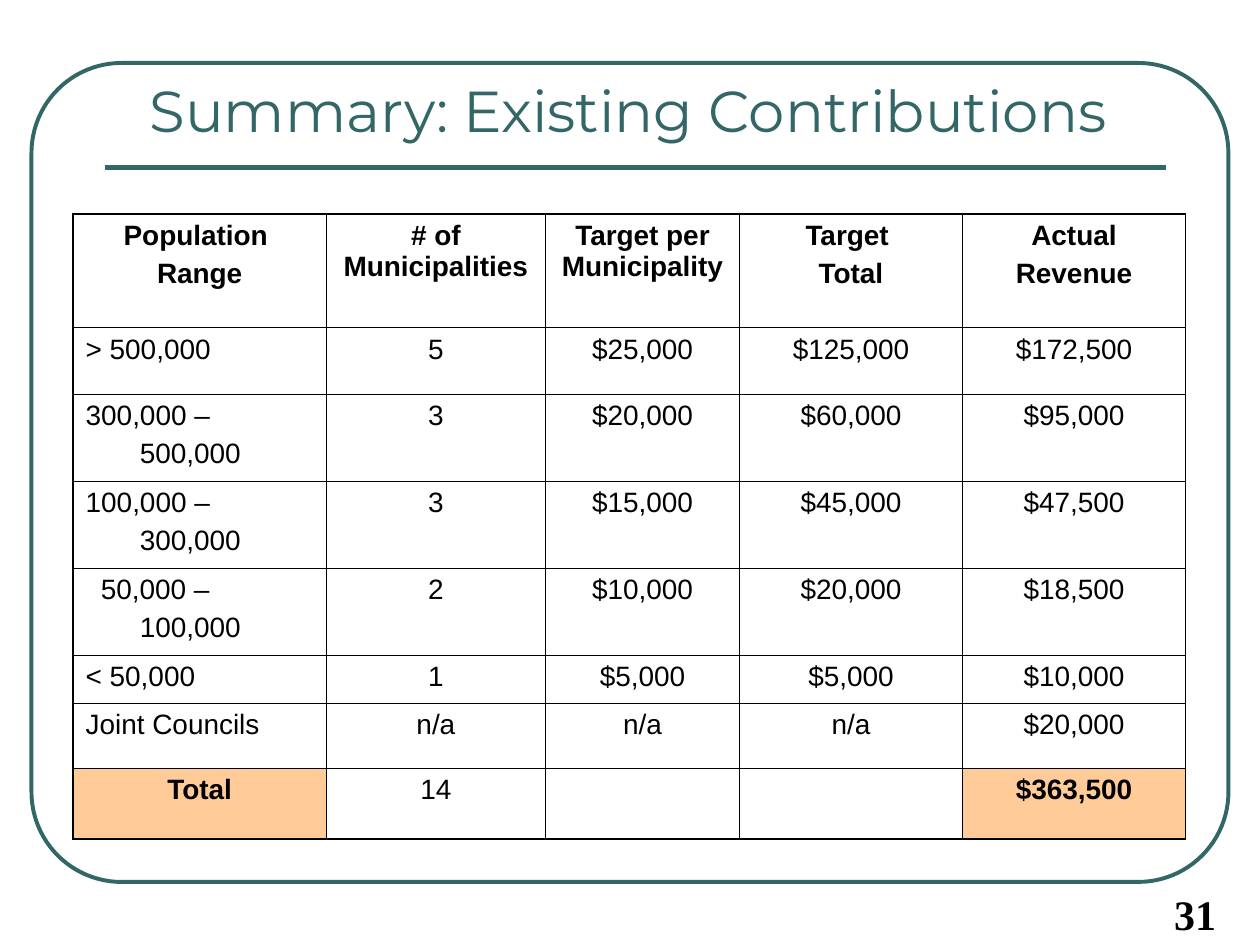
"""Build the slide that sums up existing contributions by population range."""
from pptx import Presentation
from pptx.dml.color import RGBColor
from pptx.enum.shapes import MSO_CONNECTOR, MSO_SHAPE
from pptx.enum.text import MSO_ANCHOR, MSO_AUTO_SIZE, PP_ALIGN
from pptx.util import Inches, Pt
from lxml import etree

ROUND = MSO_SHAPE.ROUNDED_RECTANGLE
STRAIGHT = MSO_CONNECTOR.STRAIGHT
MIDDLE = MSO_ANCHOR.MIDDLE
FIXED = MSO_AUTO_SIZE.NONE
LEFT, CENTER, RIGHT = PP_ALIGN.LEFT, PP_ALIGN.CENTER, PP_ALIGN.RIGHT
NS = "http://schemas.openxmlformats.org/drawingml/2006/main"
COLORS = {"teal": "336666", "black": "000000", "peach": "FFCC99"}
THIN, THICK = 0.45, 1.08

WIDTHS = [2.01, 1.74, 1.54, 1.77, 1.77]
HEIGHTS = [0.9, 0.53, 0.69, 0.69, 0.69, 0.38, 0.52, 0.56]
ROWS = [
    ["Population \nRange", "# of Municipalities", "Target per Municipality",
     "Target \nTotal", "Actual\nRevenue"],
    ["> 500,000", "5", "$25,000", "$125,000", "$172,500"],
    ["300,000 –\n500,000", "3", "$20,000", "$60,000", "$95,000"],
    ["100,000 –\n300,000", "3", "$15,000", "$45,000", "$47,500"],
    ["50,000 –\n100,000", "2", "$10,000", "$20,000", "$18,500"],
    ["< 50,000", "1", "$5,000", "$5,000", "$10,000"],
    ["Joint Councils", "n/a", "n/a", "n/a", "$20,000"],
    ["Total", "14", "", "", "$363,500"],
]
INDENTS = {"50,000 –": 0.12, "500,000": 0.43, "300,000": 0.43, "100,000": 0.43}


def style(para, face, size, color, align, bold=False):
    para.alignment = align
    para.font.name = face
    para.font.size = Pt(size)
    para.font.bold = bold
    para.font.color.rgb = RGBColor.from_string(COLORS[color])


def border(cell, side, width):
    props = cell._tc.get_or_add_tcPr()
    line = etree.SubElement(props, f"{{{NS}}}{side}", w=str(Pt(width)))
    fill = etree.SubElement(line, f"{{{NS}}}solidFill")
    etree.SubElement(fill, f"{{{NS}}}srgbClr", val=COLORS["black"])


prs = Presentation()
prs.slide_width, prs.slide_height = Inches(10), Inches(7.5)
slide = prs.slides.add_slide(prs.slide_layouts[5])
shapes = slide.shapes
teal = RGBColor.from_string(COLORS["teal"])

frame = shapes.add_shape(ROUND, Inches(0.25), Inches(0.5), Inches(9.5), Inches(6.5))
frame.adjustments[0] = 0.11
frame.shadow.inherit = False
frame.fill.background()
frame.line.color.rgb = teal
frame.line.width = Pt(2.25)

rule = shapes.add_connector(STRAIGHT, Inches(0.83), Inches(1.33), Inches(9.25), Inches(1.33))
rule.line.color.rgb = teal
rule.line.width = Pt(3)
etree.SubElement(rule._element.spPr, f"{{{NS}}}effectLst")

title = shapes.title
title.left, title.top = Inches(0.67), Inches(0.58)
title.width, title.height = Inches(8.75), Inches(0.58)
title.text_frame.text = "Summary: Existing Contributions "
title.text_frame.auto_size = FIXED
title.text_frame.vertical_anchor = MIDDLE
style(title.text_frame.paragraphs[0], "Montserrat", 33, "teal", CENTER)

table = shapes.add_table(len(ROWS), len(WIDTHS), Inches(0.58), Inches(1.7),
                         Inches(sum(WIDTHS)), Inches(sum(HEIGHTS))).table
table.horz_banding = False
for col, width in zip(table.columns, WIDTHS):
    col.width = Inches(width)
for row, height in zip(table.rows, HEIGHTS):
    row.height = Inches(height)

end, last = len(ROWS) - 1, len(WIDTHS) - 1
for r, row in enumerate(ROWS):
    for c, text in enumerate(row):
        cell = table.cell(r, c)
        cell.text = text
        edges = {"lnL": c == 0, "lnR": c == last, "lnT": r == 0, "lnB": r == end}
        for side, outer in edges.items():
            border(cell, side, THICK if outer else THIN)
        total = r == end and c in (0, last)
        if total:
            cell.fill.solid()
            cell.fill.fore_color.rgb = RGBColor.from_string(COLORS["peach"])
        else:
            cell.fill.background()
        align = LEFT if c == 0 and 0 < r < end else CENTER
        for para in cell.text_frame.paragraphs:
            style(para, "Arial", 16, "black", align, r == 0 or total)
            para.space_before = Pt(4)
            if para.text in INDENTS:
                para._p.get_or_add_pPr().set("marL", str(Inches(INDENTS[para.text])))

number = shapes.add_textbox(Inches(8.75), Inches(7), Inches(1), Inches(0.5))
number.text_frame.word_wrap = True
number.text_frame.text = "31"
style(number.text_frame.paragraphs[0], "Times New Roman", 24, "black", RIGHT, True)

prs.save("out.pptx")
